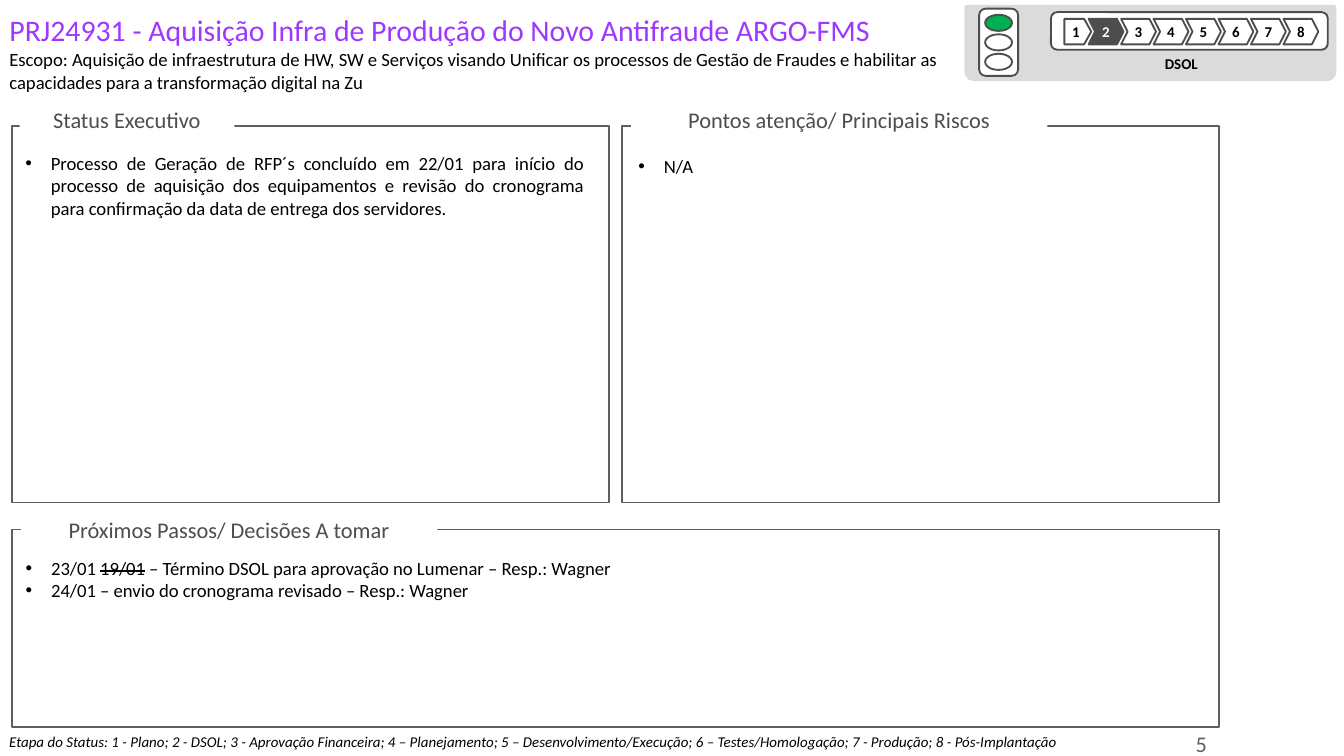
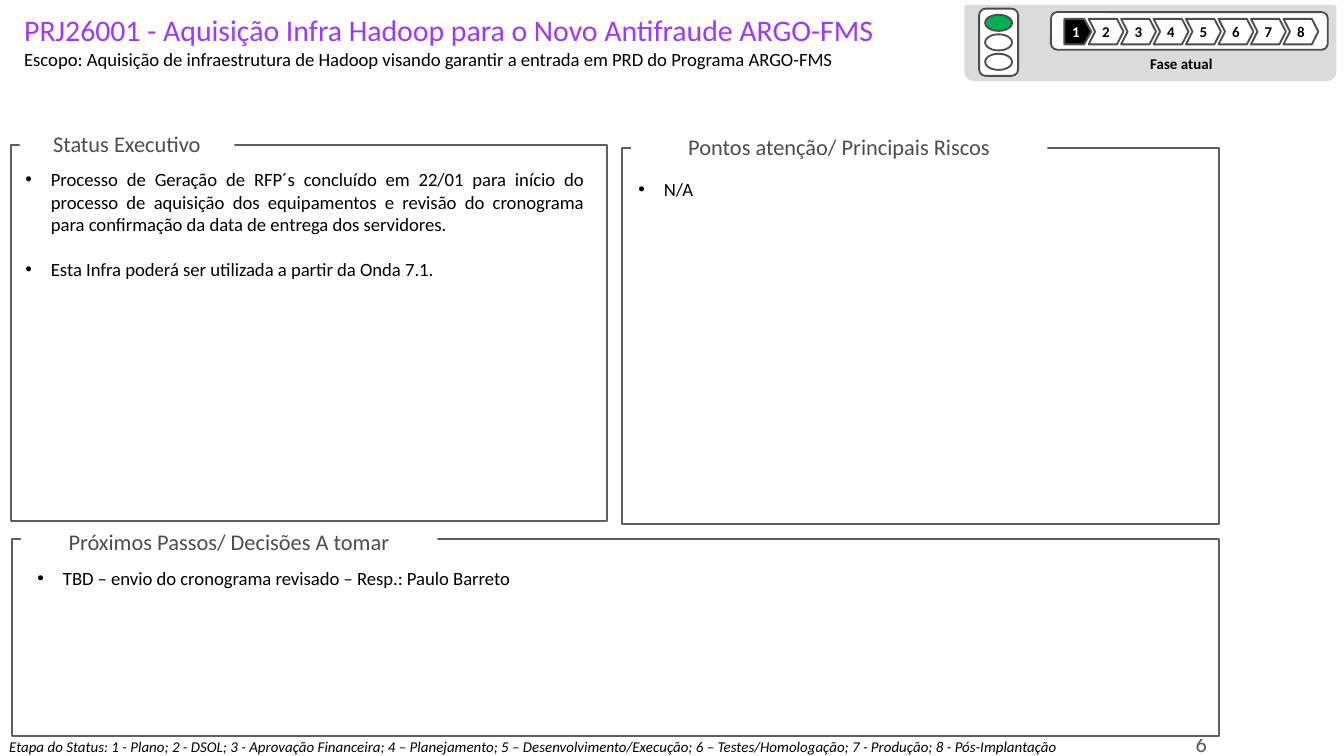
from lxml.etree import SubElement as Sub
from pptx import Presentation
from pptx.dml.color import RGBColor as Rgb
from pptx.enum.shapes import MSO_SHAPE as Kind
from pptx.enum.text import MSO_ANCHOR as Anchor, MSO_AUTO_SIZE as Fit, PP_ALIGN as Align
from pptx.oxml.ns import qn
from pptx.util import Inches, Pt

FONT = "Calibri"
PURPLE = Rgb(0xA0, 0x37, 0xFF)
BLACK = Rgb(0x00, 0x00, 0x00)
WHITE = Rgb(0xFF, 0xFF, 0xFF)
DARK = Rgb(0x4D, 0x4D, 0x4D)
GRAY = Rgb(0x5F, 0x5F, 0x5F)
PALE = Rgb(0xDB, 0xDB, 0xDC)
GREEN = Rgb(0x00, 0xB0, 0x50)

SNUG = (0.04, 0, 0.04, 0)
EVEN = (0.04, 0.04, 0.04, 0.04)
ROOMY = (0.1, 0.05, 0.1, 0.05)
INDENT = Inches(0.19)
STAGES = 8
STEP = 1.45 / 6
LEGEND = (
    "Etapa do Status: 1 - Plano; 2 - DSOL; 3 - Aprovação Financeira; "
    "4 – Planejamento; 5 – Desenvolvimento/Execução; "
    "6 – Testes/Homologação; 7 - Produção; 8 - Pós-Implantação"
)
RFP = (
    "Processo de Geração de RFP´s concluído em 22/01 para início do processo "
    "de aquisição dos equipamentos e revisão do cronograma para confirmação "
    "da data de entrega dos servidores."
)


def style(font, size, color, bold=False, italic=False):
    font.name = FONT
    font.size = Pt(size)
    font.color.rgb = color
    font.bold = bold
    font.italic = italic


def set_frame(frame, pad, anchor=Anchor.TOP, wrap=True):
    frame.margin_left, frame.margin_top, frame.margin_right, frame.margin_bottom = map(Inches, pad)
    frame.vertical_anchor = anchor
    frame.word_wrap = wrap
    frame.auto_size = Fit.NONE


def add_form(shapes, kind, box, fill, line, width=1, turn=0, adj=()):
    form = shapes.add_shape(kind, *map(Inches, box))
    form.shadow.inherit = False
    form.rotation = turn
    for i, value in enumerate(adj):
        form.adjustments[i] = value
    if fill is None:
        form.fill.background()
    else:
        form.fill.solid()
        form.fill.fore_color.rgb = fill
    form.line.color.rgb = line
    form.line.width = Pt(width)
    return form


def put_text(form, text, size, color, align=Align.CENTER, pad=SNUG,
             anchor=Anchor.MIDDLE, wrap=False, bold=False, italic=False):
    set_frame(form.text_frame, pad, anchor, wrap)
    para = form.text_frame.paragraphs[0]
    para.text = text
    para.alignment = align
    style(para.font, size, color, bold, italic)
    return para


def add_label(shapes, box, text, size, color, **opts):
    put_text(shapes.add_textbox(*map(Inches, box)), text, size, color, **opts)


def add_title(slide, left, width, name, scope):
    title = slide.shapes.title
    title.left, title.top, title.width, title.height = map(Inches, (left, 0.09, width, 0.58))
    set_frame(title.text_frame, (0, 0, 0, 0))
    para = title.text_frame.paragraphs[0]
    para.alignment = Align.LEFT
    head = para.add_run()
    head.text = name
    style(head.font, 16, PURPLE)
    para.add_line_break()
    body = para.add_run()
    body.text = scope
    style(body.font, 10, BLACK)


def add_bullet(para):
    props = para._p.get_or_add_pPr()
    props.set("marL", str(INDENT))
    props.set("indent", str(-INDENT))
    face = Sub(props, qn("a:buFont"), typeface="Arial")
    mark = Sub(props, qn("a:buChar"), char="•")
    last = props.find(qn("a:defRPr"))
    last.addprevious(face)
    last.addprevious(mark)


def add_list(shapes, box, items, pad=ROOMY, gap=0):
    frame = shapes.add_textbox(*map(Inches, box)).text_frame
    set_frame(frame, pad)
    for i, item in enumerate(items):
        para = frame.paragraphs[0] if i == 0 else frame.add_paragraph()
        para.alignment = Align.JUSTIFY
        if i and gap:
            para.space_before = Pt(gap)
        style(para.font, 10, BLACK)
        add_bullet(para)
        for text, struck in item:
            run = para.add_run()
            run.text = text
            if struck:
                run._r.get_or_add_rPr().set("strike", "sngStrike")


def plain(text):
    return [(text, False)]


def add_stages(shapes, now, fill):
    group = shapes.add_group_shape().shapes
    add_form(group, Kind.ROUNDED_RECTANGLE, (7.82, 0.09, 2.06, 0.28), WHITE, DARK)
    for i in range(STAGES):
        if i == 0:
            kind, box, adj = Kind.PENTAGON, (7.92, 0.14, 0.2, 0.19), 0.28
        else:
            kind, box, adj = Kind.CHEVRON, (8.1 + (i - 1) * STEP, 0.14, 0.26, 0.19), 0.255
        active = i + 1 == now
        form = add_form(group, kind, box, fill if active else WHITE, DARK, adj=[adj])
        put_text(form, str(i + 1), 8, WHITE if active else BLACK, bold=True)


def add_lights(shapes):
    group = shapes.add_group_shape().shapes
    add_form(group, Kind.ROUNDED_RECTANGLE, (7.18, 0.17, 0.5, 0.29), WHITE, DARK, turn=90)
    for i, color in enumerate((GREEN, WHITE, None)):
        add_form(group, Kind.OVAL, (7.37, 0.07 + i * 0.145, 0.12, 0.2), color, DARK, turn=90)


def add_status(shapes, phase, now, fill):
    add_form(shapes, Kind.ROUND_2_SAME_RECTANGLE, (7.19, 0.05, 2.74, 0.54),
             PALE, PALE, 2, 180, (0.106, 0))
    add_label(shapes, (8.1, 0.41, 1.38, 0.13), phase, 8, BLACK,
              pad=(0.04, 0.04, 0.04, 0), anchor=Anchor.BOTTOM, bold=True)
    add_stages(shapes, now, fill)
    add_lights(shapes)


def add_panel(shapes, box, tag, text):
    add_form(shapes, Kind.RECTANGLE, box, None, GRAY)
    form = add_form(shapes, Kind.ROUNDED_RECTANGLE, (*tag, 0.22), WHITE, WHITE, 2)
    put_text(form, text, 12, DARK)


def add_foot(shapes, top):
    form = add_form(shapes, Kind.RECTANGLE, (-0.03, top, 9.09, 0.19), None, WHITE)
    para = put_text(form, LEGEND, 8, BLACK, Align.LEFT, (0.1, 0, 0.1, 0),
                    Anchor.TOP, True, italic=True)
    para.space_after = Pt(6)


def add_page(deck, number, title, status, left, right, base, foot):
    slide = deck.slides.add_slide(deck.slide_layouts[5])
    shapes = slide.shapes
    add_label(shapes, (8.6, 5.41, 0.48, 0.24), number, 12, GRAY,
              align=Align.RIGHT, pad=ROOMY, wrap=True)
    add_status(shapes, *status)
    y, tag = right
    add_panel(shapes, (4.63, y, 4.44, 2.8), (4.71, tag, 3.07), "Pontos atenção/ Principais Riscos")
    x, y, tag = left
    add_panel(shapes, (x, y, 4.44, 2.8), (0.16, tag, 1.57), "Status Executivo")
    y, tag = base
    add_panel(shapes, (0.09, y, 8.98, 1.47), (0.17, tag, 3.07), "Próximos Passos/ Decisões A tomar")
    add_foot(shapes, foot)
    add_title(slide, *title)
    return shapes


def main():
    deck = Presentation()
    deck.slide_width = Inches(10)
    deck.slide_height = deck.slide_width * 9 // 16

    shapes = add_page(
        deck, "5",
        (0.07, 7.16, "PRJ24931 - Aquisição Infra de Produção do Novo Antifraude ARGO-FMS",
         "Escopo: Aquisição de infraestrutura de HW, SW e Serviços visando Unificar os "
         "processos de Gestão de Fraudes e habilitar as capacidades para a "
         "transformação digital na Zu"),
        ("DSOL", 2, DARK),
        (0.09, 0.94, 0.78), (0.94, 0.78), (3.94, 3.83), 5.45,
    )
    add_list(shapes, (0.09, 1.08, 4.35, 0.77), [plain(RFP)])
    add_list(shapes, (4.71, 1.11, 4.35, 0.25), [plain("N/A")], EVEN)
    add_list(shapes, (0.15, 4.1, 8.82, 0.42), [
        [("23/01 ", False), ("19/01", True),
         (" – Término DSOL para aprovação no Lumenar – Resp.: Wagner", False)],
        plain("24/01 – envio do cronograma revisado – Resp.: Wagner"),
    ], EVEN)

    shapes = add_page(
        deck, "6",
        (0.18, 7.01, "PRJ26001 - Aquisição Infra Hadoop para o Novo Antifraude ARGO-FMS",
         "Escopo: Aquisição de infraestrutura de Hadoop visando garantir a entrada em "
         "PRD do Programa ARGO-FMS"),
        ("Fase atual", 1, BLACK),
        (0.08, 1.08, 0.96), (1.1, 0.98), (4.01, 3.92), 5.49,
    )
    add_list(shapes, (0.09, 1.2, 4.35, 1.11), [
        plain(RFP),
        plain("Esta Infra poderá ser utilizada a partir da Onda 7.1."),
    ], gap=12)
    add_list(shapes, (4.71, 1.28, 4.35, 0.25), [plain("N/A")], EVEN)
    add_list(shapes, (0.18, 4.17, 8.88, 0.27),
             [plain("TBD – envio do cronograma revisado – Resp.: Paulo Barreto")])

    deck.save("out.pptx")


if __name__ == "__main__":
    main()
